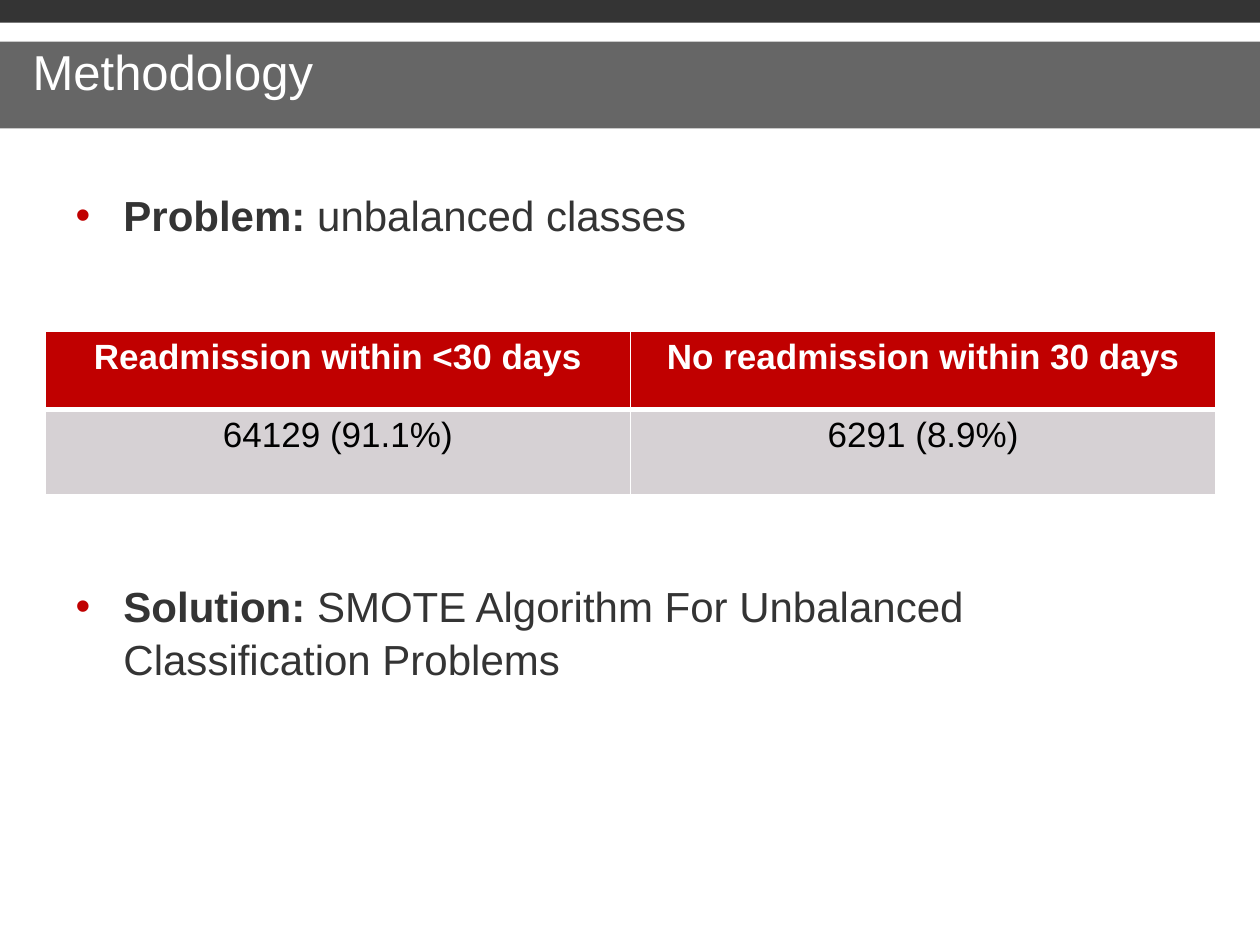
from dataclasses import dataclass

from lxml.etree import SubElement
from pptx import Presentation
from pptx.dml.color import RGBColor as Rgb
from pptx.enum.text import MSO_ANCHOR as Anchor, MSO_AUTO_SIZE as AutoSize, PP_ALIGN as Align
from pptx.enum.shapes import MSO_SHAPE as Preset
from pptx.oxml import parse_xml
from pptx.oxml.ns import nsdecls, qn
from pptx.util import Inches, Pt


@dataclass(frozen=True)
class Theme:
    font: str = "Arial"
    dark: str = "343434"
    black: str = "000000"
    white: str = "FFFFFF"
    accent: str = "C00000"
    cell: str = "D6D1D4"
    title_size: int = 28
    body_size: int = 24
    table_size: int = 20


class SlideBuilder:
    """Places elements on a grid of 100 columns by 75 rows."""

    columns, rows = 100, 75

    def __init__(self, presentation, theme):
        self.theme = theme
        self.column = presentation.slide_width / self.columns
        self.row = presentation.slide_height / self.rows
        self.slide = presentation.slides.add_slide(presentation.slide_layouts[1])

    def area(self, left, top, width, height):
        return (round(left * self.column), round(top * self.row),
                round(width * self.column), round(height * self.row))

    def style(self, font, size, color, bold=False):
        font.name, font.size, font.bold = self.theme.font, Pt(size), bold
        font.color.rgb = Rgb.from_string(color)

    def place(self, placeholder, area, margin):
        """Move a placeholder and return its text frame, set to start at the top."""
        placeholder.left, placeholder.top, placeholder.width, placeholder.height = self.area(*area)
        frame = placeholder.text_frame
        frame.word_wrap, frame.auto_size = True, AutoSize.NONE
        frame.vertical_anchor = Anchor.TOP
        frame.margin_left = frame.margin_right = Inches(margin)
        frame.margin_top = frame.margin_bottom = Inches(margin)
        return frame

    def band(self, top, height, color, opacity=100):
        """Draw a full-width bar behind the placeholders."""
        shape = self.slide.shapes.add_shape(
            Preset.RECTANGLE, *self.area(0, top, self.columns, height))
        shape.shadow.inherit = False
        shape.line.fill.background()
        shape.fill.solid()
        shape.fill.fore_color.rgb = Rgb.from_string(color)
        if opacity < 100:
            fill_color = shape.element.spPr.find(qn("a:solidFill"))[0]
            SubElement(fill_color, qn("a:alpha"), val=str(opacity * 1000))
        self.slide.shapes.title.element.addprevious(shape.element)

    def title(self, text, area):
        frame = self.place(self.slide.shapes.title, area, 0)
        frame.text = text
        paragraph = frame.paragraphs[0]
        paragraph.alignment = Align.LEFT
        self.style(paragraph.runs[0].font, self.theme.title_size, self.theme.white)

    def bullets(self, items, area, gap):
        """Fill the body with (bold lead, text) items, gap points apart."""
        frame = self.place(self.slide.placeholders[1], area, 0.04)
        for index, item in enumerate(items):
            paragraph = frame.add_paragraph() if index else frame.paragraphs[0]
            self.bullet(paragraph)
            paragraph.line_spacing = 1.04
            paragraph.space_before = Pt(gap if index else 0)
            for text, bold in zip(item, (True, False)):
                run = paragraph.add_run()
                run.text = text
                self.style(run.font, self.theme.body_size, self.theme.dark, bold)

    def bullet(self, paragraph):
        properties = paragraph._p.get_or_add_pPr()
        properties.set("marL", str(Inches(0.58)))
        properties.set("indent", str(Inches(-0.38)))
        color = SubElement(properties, qn("a:buClr"))
        SubElement(color, qn("a:srgbClr"), val=self.theme.accent)
        SubElement(properties, qn("a:buFont"), typeface=self.theme.font)
        SubElement(properties, qn("a:buChar"), char="•")

    def table(self, data, area, row_heights):
        """Draw a table whose first row is the header."""
        theme = self.theme
        table = self.slide.shapes.add_table(len(data), len(data[0]), *self.area(*area)).table
        for row, height in zip(table.rows, row_heights):
            row.height = round(height * self.row)
        for row_index, values in enumerate(data):
            header = row_index == 0
            for column_index, value in enumerate(values):
                cell = table.cell(row_index, column_index)
                cell.text = value
                cell.fill.solid()
                cell.fill.fore_color.rgb = Rgb.from_string(theme.accent if header else theme.cell)
                paragraph = cell.text_frame.paragraphs[0]
                paragraph.alignment = Align.CENTER
                self.style(paragraph.runs[0].font, theme.table_size,
                           theme.white if header else theme.black, header)
                self.borders(cell, top=1 if header else 3, bottom=3 if header else 1)

    def borders(self, cell, top, bottom):
        properties = cell._tc.get_or_add_tcPr()
        for index, (side, width) in enumerate(zip("LRTB", (1, 1, top, bottom))):
            properties.insert(index, parse_xml(
                f'<a:ln{side} {nsdecls("a")} w="{Pt(width)}"><a:solidFill>'
                f'<a:srgbClr val="{self.theme.white}"/></a:solidFill></a:ln{side}>'))


def main():
    presentation = Presentation()
    presentation.slide_width, presentation.slide_height = Inches(10), Inches(7.5)
    theme = Theme()
    builder = SlideBuilder(presentation, theme)
    builder.band(0, 1.8, theme.dark)
    builder.band(3.3, 6.9, theme.black, opacity=60)
    builder.title("Methodology", (2.6, 3.3, 94.8, 5.2))
    builder.bullets(
        [("Problem: ", "unbalanced classes"),
         ("Solution: ", "SMOTE Algorithm For Unbalanced Classification Problems")],
        (3.6, 14.5, 90.2, 43.9), gap=193.6)
    builder.table(
        [("Readmission within <30 days", "No readmission within 30 days"),
         ("64129 (91.1%)", "6291 (8.9%)")],
        (3.6, 26.3, 92.9, 13), row_heights=(6.2, 6.8))
    presentation.save("out.pptx")


if __name__ == "__main__":
    main()
